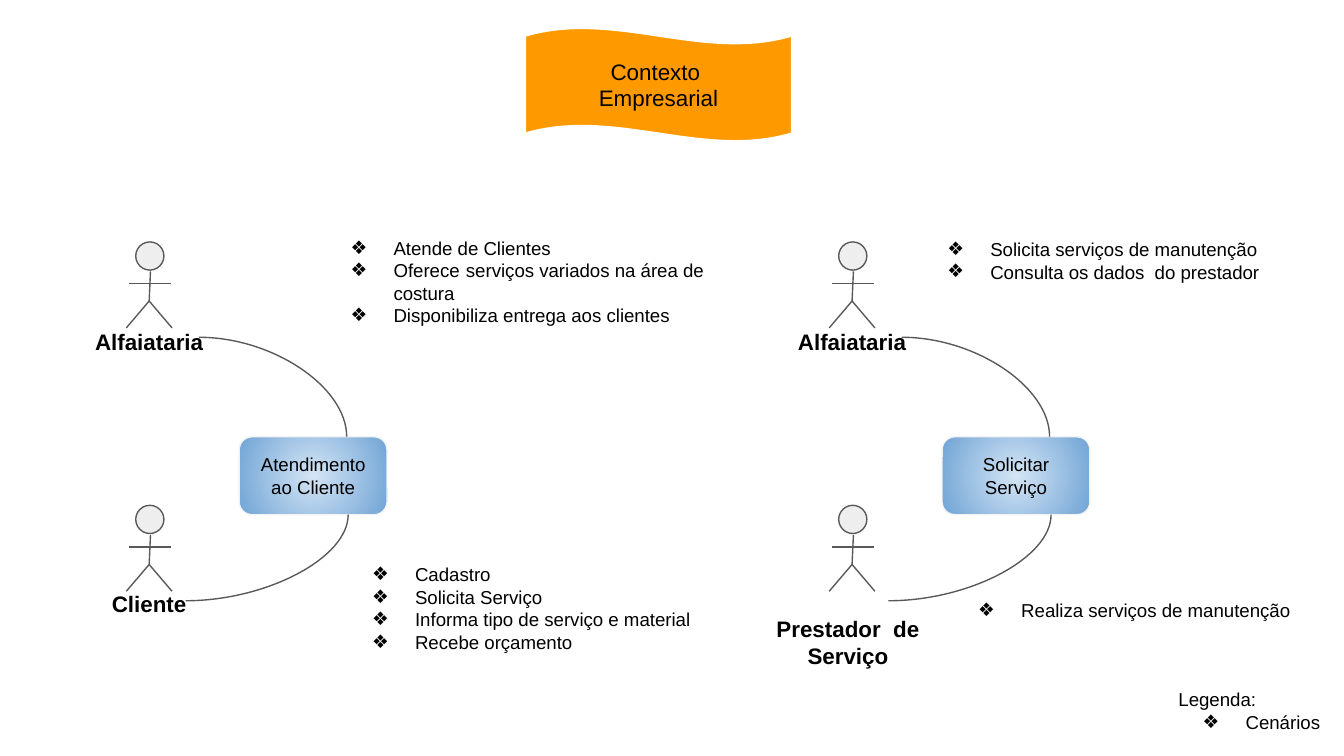
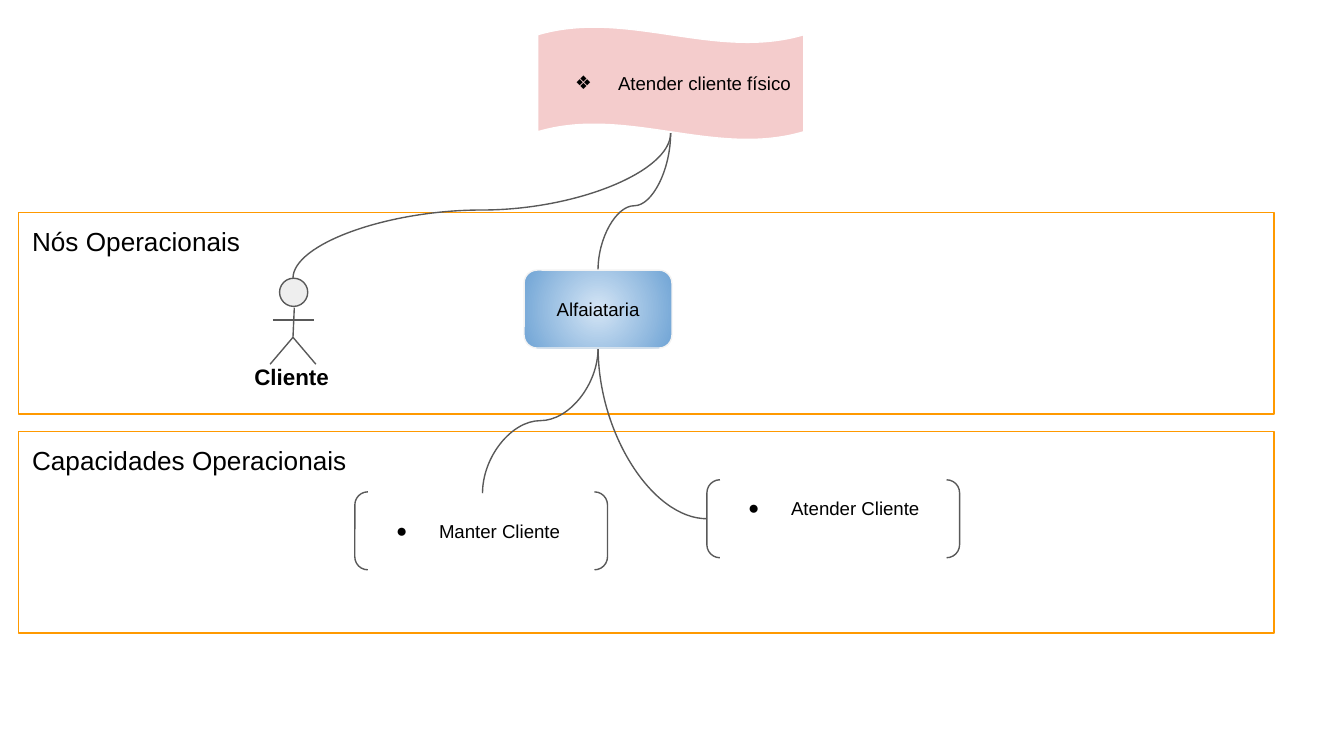
from pptx import Presentation, util as u
from pptx.dml.color import RGBColor
from pptx.enum import shapes, text
from pptx.oxml import ns
from lxml import etree

# Shared look
FONT = "Arial"
BLACK, GRAY, PALE_GRAY = "000000", "595959", "EEEEEE"
ORANGE, PINK, WHITE = "FF9900", "F4CCCC", "FFFFFF"
BOX_LINE, BOX_CENTRE, BOX_EDGE = "F3F3F3", "D4E5F5", "70A4D5"
DIAMOND, DOT = "❖", "●"
LINE_WIDTH = u.Pt(0.75)
LEFT, CENTER = text.PP_ALIGN.LEFT, text.PP_ALIGN.CENTER
TOP, MIDDLE = text.MSO_ANCHOR.TOP, text.MSO_ANCHOR.MIDDLE
PRESET = shapes.MSO_SHAPE
HEAD_SIZE = 0.21
# Body, arms and legs, measured from the top left of the head
LIMBS = [(0.11, 0.22, 0.1, 0.44), (-0.05, 0.31, 0.26, 0.31),
         (0.1, 0.44, -0.07, 0.64), (0.27, 0.64, 0.1, 0.44)]


def color(value):
    return RGBColor.from_string(value)


def inches(values):
    return [u.Inches(value) for value in values]


def child(parent, tag, **attributes):
    return etree.SubElement(parent, ns.qn(tag), attributes)


# Text
def add_bullet(paragraph, symbol):
    properties = paragraph._p.get_or_add_pPr()
    properties.set("marL", str(u.Inches(0.5)))
    properties.set("indent", str(u.Inches(-0.32)))
    child(child(properties, "a:buClr"), "a:srgbClr", val=BLACK)
    child(properties, "a:buFont", typeface=FONT)
    child(properties, "a:buChar", char=symbol)


def write_text(shape, lines, size=10, bold=False, align=LEFT, anchor=TOP,
               bullet=None, right=0.1, bottom=0.1):
    """Write one paragraph per line; a line may be a (text, bullet) pair."""
    frame = shape.text_frame
    frame_format = {"word_wrap": True, "vertical_anchor": anchor,
                    "margin_left": u.Inches(0.1), "margin_top": u.Inches(0.1),
                    "margin_right": u.Inches(right),
                    "margin_bottom": u.Inches(bottom)}
    for name, value in frame_format.items():
        setattr(frame, name, value)
    for index, line in enumerate(lines):
        words, symbol = line if isinstance(line, tuple) else (line, bullet)
        paragraph = frame.add_paragraph() if index else frame.paragraphs[0]
        paragraph.alignment = align
        if symbol:
            add_bullet(paragraph, symbol)
        run = paragraph.add_run()
        run.text = words
        run_format = {"name": FONT, "size": u.Pt(size), "bold": bold}
        for name, value in run_format.items():
            setattr(run.font, name, value)
        run.font.color.rgb = color(BLACK)


def add_text(parent, place, lines, **text_format):
    box = parent.shapes.add_textbox(*inches(place))
    write_text(box, lines, **text_format)


# Shapes
def add_shape(parent, preset, place, line, fill=None):
    shape = parent.shapes.add_shape(preset, *inches(place))
    shape.shadow.inherit = False
    shape.line.color.rgb = color(line)
    shape.line.width = LINE_WIDTH
    if fill:
        shape.fill.solid()
        shape.fill.fore_color.rgb = color(fill)
    else:
        shape.fill.background()
    return shape


def add_banner(slide, left, top, fill, lines, **text_format):
    banner = add_shape(slide, PRESET.WAVE, (left, top, 1.98, 0.84), WHITE, fill)
    banner.adjustments[0] = 0.07
    write_text(banner, lines, anchor=MIDDLE, **text_format)


def add_glow_box(slide, left, top, label):
    box = add_shape(slide, PRESET.ROUNDED_RECTANGLE, (left, top, 1.1, 0.58), BOX_LINE)
    box.fill.gradient()
    stops = box.fill.gradient_stops
    for stop, position, tone in zip(stops, (0, 1), (BOX_CENTRE, BOX_EDGE)):
        stop.position = position
        stop.color.rgb = color(tone)
    # Radial gradient from the centre
    gradient = box._element.spPr.find(ns.qn("a:gradFill"))
    gradient.remove(gradient.find(ns.qn("a:lin")))
    radial = child(gradient, "a:path", path="circle")
    child(radial, "a:fillToRect", l="50000", t="50000", r="50000", b="50000")
    write_text(box, [label], align=CENTER, anchor=MIDDLE)


def add_panel(slide, top, title):
    panel = add_shape(slide, PRESET.RECTANGLE, (0.14, top, 9.34, 1.5), ORANGE)
    write_text(panel, [title], size=14)


def add_bracket(slide, left, top, label, bottom=0.1):
    bracket = add_shape(slide, PRESET.DOUBLE_BRACKET, (left, top, 1.88, 0.58), GRAY)
    write_text(bracket, [label], bullet=DOT, anchor=MIDDLE, bottom=bottom)


# Lines
def add_line(parent, ends, kind=shapes.MSO_CONNECTOR.STRAIGHT):
    line = parent.shapes.add_connector(kind, *inches(ends))
    line.line.color.rgb = color(GRAY)
    line.line.width = LINE_WIDTH
    child(line._element.spPr, "a:effectLst")
    return line


def add_curve(slide, start, end, rotation=0, flip=False, bend=None):
    """Draw a quarter curve, or an S curve that turns at the share bend."""
    (x1, y1), (x2, y2) = start, end
    width, height = abs(x2 - x1), abs(y2 - y1)
    if rotation in (90, 270):
        width, height = height, width
    left, top = (x1 + x2 - width) / 2, (y1 + y2 - height) / 2
    curve = add_line(slide, (left, top, left + width, top + height),
                     shapes.MSO_CONNECTOR.CURVE)
    properties = curve._element.spPr
    frame = properties.find(ns.qn("a:xfrm"))
    frame.set("rot", str(rotation * 60000))
    if flip:
        frame.set("flipH", "1")
    geometry = properties.find(ns.qn("a:prstGeom"))
    if bend is None:
        geometry.set("prst", "curvedConnector2")
    else:
        guides = geometry.find(ns.qn("a:avLst"))
        child(guides, "a:gd", name="adj1", fmla=f"val {round(bend * 100000)}")


def add_actor(slide, x, y, label, label_left, label_width, label_drop=0.53):
    group = slide.shapes.add_group_shape()
    add_shape(group, PRESET.FLOWCHART_CONNECTOR, (x, y, HEAD_SIZE, HEAD_SIZE),
              GRAY, PALE_GRAY)
    for x1, y1, x2, y2 in LIMBS:
        add_line(group, (x + x1, y + y1, x + x2, y + y2))
    add_text(group, (label_left, y + label_drop, label_width, 0.38), [label],
             size=12, bold=True, align=CENTER)


# Slides
def add_scenario(slide, x, task, partner, partner_label):
    """Link the tailor shop and a partner, heads at x, through a task."""
    add_glow_box(slide, x + 0.77, 3.25, task)
    add_actor(slide, x, 3.76, partner, *partner_label)
    add_actor(slide, x, 1.8, "Alfaiataria", x - 0.46, 1.12, 0.54)
    add_curve(slide, (x + 0.47, 2.51), (x + 1.57, 3.25))
    add_curve(slide, (x + 0.37, 4.47), (x + 1.58, 3.83), rotation=180, flip=True)


def build_context(slide):
    add_banner(slide, 3.91, 0.21, ORANGE, ["Contexto ", "Empresarial"],
               size=12, align=CENTER)
    add_scenario(slide, 1.01, "Atendimento ao Cliente", "Cliente", (0.66, 0.9))
    add_scenario(slide, 6.24, "Solicitar Serviço", "Prestador  de Serviço",
                 (5.46, 1.7, 0.72))
    duties = [
        ((2.33, 1.66, 3.32, 1.01),
         ["Atende de Clientes", "Oferece\t serviços variados na área de costura",
          "Disponibiliza entrega aos clientes"]),
        ((2.49, 4.09, 3.32, 0.91),
         ["Cadastro", "Solicita Serviço", "Informa tipo de serviço e material",
          "Recebe orçamento"]),
        ((6.77, 1.67, 3.32, 1.01),
         ["Solicita serviços de manutenção", "Consulta os dados  do prestador"]),
        ((7, 4.37, 3.32, 1.01), ["Realiza serviços de manutenção"]),
        ((8.67, 5.02, 1.27, 0.52), [("Legenda:", None), "Cenários"]),
    ]
    for place, lines in duties:
        add_text(slide, place, lines, bullet=DIAMOND)


def build_operations(slide):
    add_panel(slide, 1.58, "Nós Operacionais")
    add_panel(slide, 3.21, "Capacidades Operacionais")
    add_banner(slide, 4, 0.2, PINK, ["Atender cliente físico"], bullet=DIAMOND,
               right=0.05)
    add_actor(slide, 2.08, 2.07, "Cliente", 1.61, 1.12)
    # Scenario to nodes, then node to capabilities
    scenario, client = (4.99, 0.99), (2.18, 2.07)
    shop_top, shop_bottom = (4.45, 2.01), (4.45, 2.59)
    add_curve(slide, shop_top, scenario, rotation=270, bend=0.47)
    add_curve(slide, client, scenario, rotation=270, bend=0.47)
    add_curve(slide, shop_bottom, (5.26, 3.86), rotation=270, flip=True)
    add_curve(slide, shop_bottom, (3.59, 3.67), rotation=90, bend=0.5)
    add_glow_box(slide, 3.9, 2.01, "Alfaiataria")
    add_bracket(slide, 5.26, 3.57, "Atender Cliente", bottom=0.26)
    add_bracket(slide, 2.64, 3.66, "Manter Cliente")


def main():
    presentation = Presentation()
    presentation.slide_width = u.Inches(10)
    # Widescreen, 16 by 9
    presentation.slide_height = u.Inches(10 * 9 / 16)
    for build in (build_context, build_operations):
        build(presentation.slides.add_slide(presentation.slide_layouts[6]))
    presentation.save("out.pptx")


if __name__ == "__main__":
    main()
